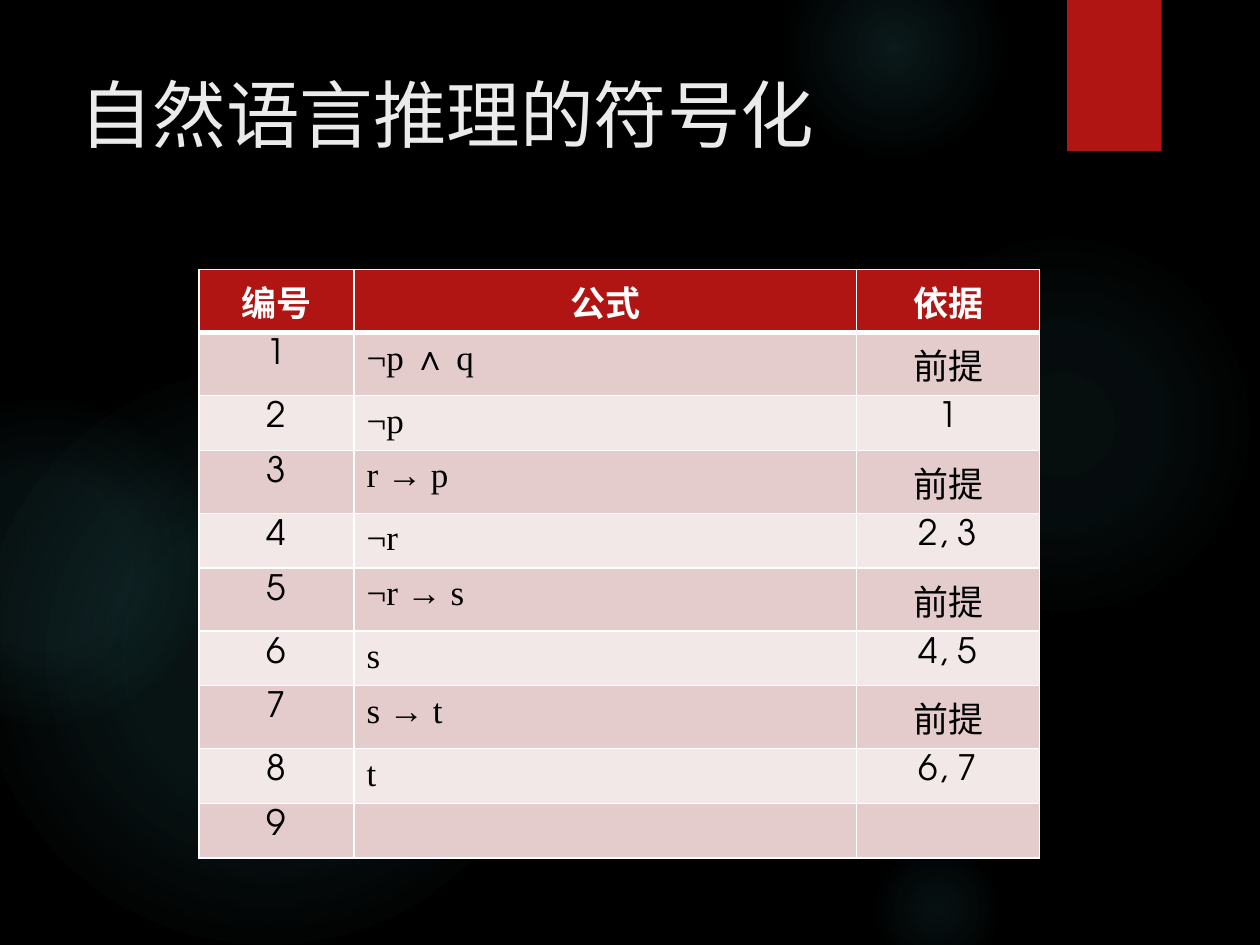
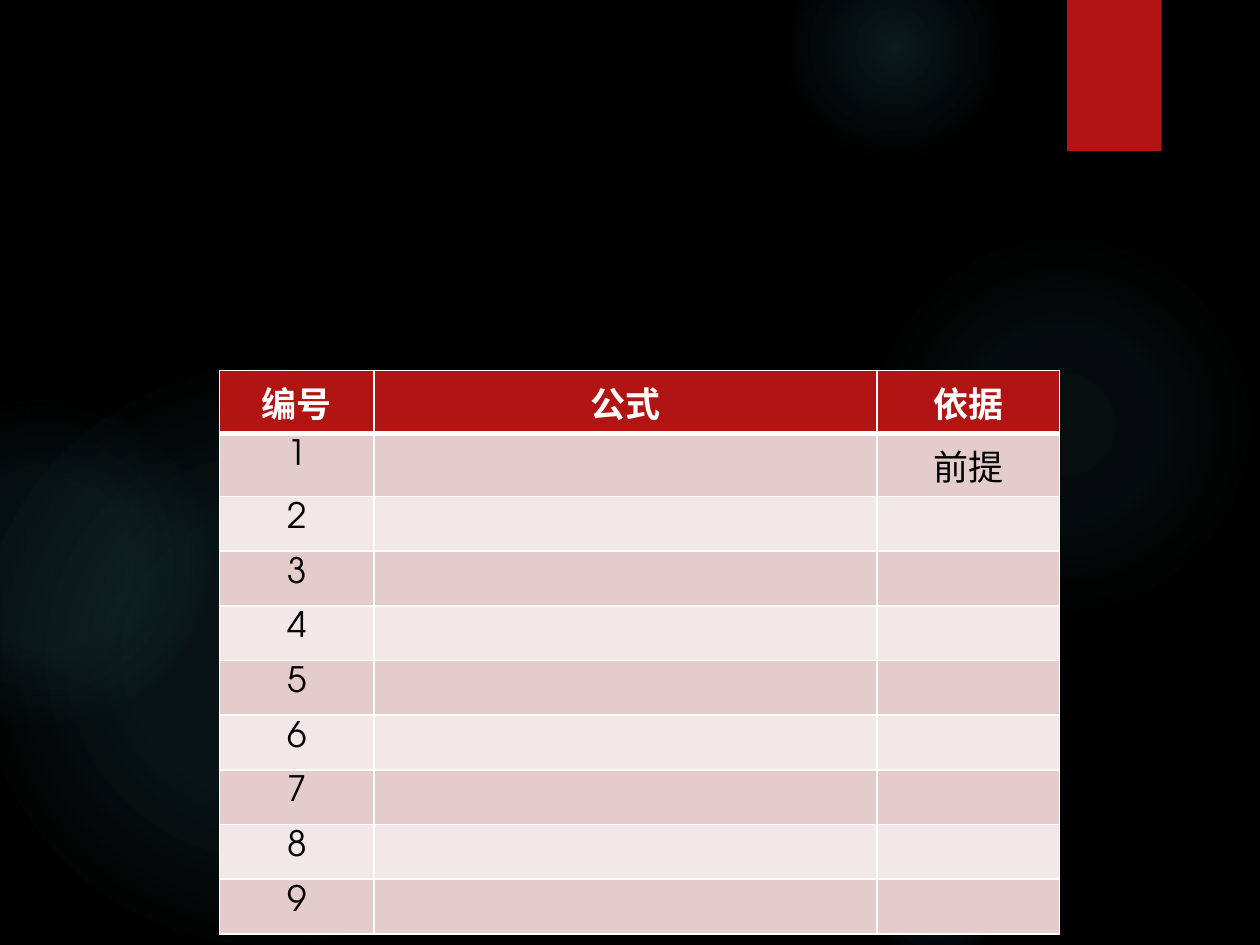
from dataclasses import dataclass

from lxml import etree
from pptx import Presentation
from pptx.dml import color
from pptx.enum import shapes, text
from pptx.oxml import ns
from pptx.util import Inches, Pt


@dataclass(frozen=True)
class Theme:
    background: str = "000000"
    accent: str = "B01513"
    glow: str = "50B9C1"
    title: str = "EBEBEB"
    border: str = "FFFFFF"
    header_text: str = "FFFFFF"
    body_text: str = "000000"
    bands: tuple = ("E4CCCC", "F2E8E7")
    font: str = "TeX Gyre Adventor"
    formula_font: str = "Times New Roman"
    title_size: int = 42
    table_size: int = 20
    thin: int = 1
    thick: int = 3


THEME = Theme()
GLOWS = [
    ((6.89, 1.83), 3.08, ((0, 7), (36, 6), (69, 0))),
    ((6.22, -0.5), 1.75, ((0, 14), (36, 7), (73, 0))),
    ((6.89, 6.67), 1.08, ((0, 9), (36, 5), (66, 0))),
    ((-0.17, 2.92), 4.58, ((0, 11), (36, 10), (75, 0))),
    ((-0.92, 3.17), 2.58, ((0, 8), (36, 8), (72, 0))),
]
RIBBON_BOX = (8.47, 0, 0.75, 1.2)
TITLE_BOX = (0.53, 0.5, 7.72, 1.53)
COLUMN_WIDTHS = (1.23, 3.99, 1.45)
ROW_HEIGHT = 0.41
TALL_ROW_HEIGHT = 0.5
HEADINGS = ("编号", "公式", "依据")
PREMISE = "前提"
STEP_COUNT = 9
PROOF = [
    ("¬p ∧ q", PREMISE),
    ("¬p", "1"),
    ("r → p", PREMISE),
    ("¬r", "2, 3"),
    ("¬r → s", PREMISE),
    ("s", "4, 5"),
    ("s → t", PREMISE),
    ("t", "6, 7"),
]
EXERCISE = [("", PREMISE)]


def rgb(value):
    return color.RGBColor.from_string(value)


def inches(box):
    return [Inches(length) for length in box]


def add_element(parent, tag, **attributes):
    element = etree.SubElement(parent, ns.qn(tag))
    for name, value in attributes.items():
        element.set(name, str(value))
    return element


def add_color(parent, value):
    return add_element(parent, "a:srgbClr", val=value)


def write_text(para, words, font_color, **formats):
    span = para.add_run()
    span.text = words
    span.font.color.rgb = rgb(font_color)
    for name, value in formats.items():
        setattr(span.font, name, value)


def add_plain_shape(page, kind, box):
    shape = page.shapes.add_shape(kind, *inches(box))
    shape.shadow.inherit = False
    shape.line.fill.background()
    return shape


def add_glow(page, corner, diameter, stops):
    glow = add_plain_shape(page, shapes.MSO_SHAPE.OVAL, (*corner, diameter, diameter))
    glow.fill.background()
    properties = glow._element.spPr
    gradient = etree.Element(ns.qn("a:gradFill"), rotWithShape="1")
    stop_list = add_element(gradient, "a:gsLst")
    for position, opacity in stops:
        stop = add_element(stop_list, "a:gs", pos=position * 1000)
        add_element(add_color(stop, THEME.glow), "a:alpha", val=opacity * 1000)
    center = add_element(gradient, "a:path", path="circle")
    add_element(center, "a:fillToRect", l=50000, t=50000, r=50000, b=50000)
    properties.replace(properties.find(ns.qn("a:noFill")), gradient)


def add_backdrop(page):
    for corner, diameter, stops in GLOWS:
        add_glow(page, corner, diameter, stops)
    ribbon = add_plain_shape(page, shapes.MSO_SHAPE.RECTANGLE, RIBBON_BOX)
    ribbon.fill.solid()
    ribbon.fill.fore_color.rgb = rgb(THEME.accent)


def add_title(page, box, words):
    frame = page.shapes.add_textbox(*inches(box)).text_frame
    frame.word_wrap = True
    frame.vertical_anchor = text.MSO_ANCHOR.TOP
    para = frame.paragraphs[0]
    write_text(para, words, THEME.title, name=THEME.font, size=Pt(THEME.title_size))


def set_borders(cell, row):
    widths = {
        "L": THEME.thin,
        "R": THEME.thin,
        "T": THEME.thick if row == 1 else THEME.thin,
        "B": THEME.thick if row == 0 else THEME.thin,
    }
    properties = cell._tc.get_or_add_tcPr()
    for side, width in widths.items():
        line = add_element(properties, f"a:ln{side}", w=Pt(width))
        add_color(add_element(line, "a:solidFill"), THEME.border)


def fill_cell(cell, row, column, words):
    is_header = row == 0
    is_formula = column == 1 and not is_header
    set_borders(cell, row)
    cell.fill.solid()
    band = THEME.accent if is_header else THEME.bands[(row - 1) % 2]
    cell.fill.fore_color.rgb = rgb(band)
    if not words:
        return
    para = cell.text_frame.paragraphs[0]
    para.alignment = text.PP_ALIGN.LEFT if is_formula else text.PP_ALIGN.CENTER
    write_text(
        para,
        words,
        THEME.header_text if is_header else THEME.body_text,
        name=THEME.formula_font if is_formula else THEME.font,
        size=Pt(THEME.table_size),
        bold=is_header,
    )


def row_height(values):
    return TALL_ROW_HEIGHT if values[-1] in (HEADINGS[-1], PREMISE) else ROW_HEIGHT


def add_proof_table(page, corner, steps):
    blanks = [("", "")] * (STEP_COUNT - len(steps))
    numbered = enumerate([*steps, *blanks], start=1)
    rows = [HEADINGS, *((str(number), *step) for number, step in numbered)]
    box = (*corner, sum(COLUMN_WIDTHS), sum(map(row_height, rows)))
    table = page.shapes.add_table(len(rows), len(HEADINGS), *inches(box)).table
    table.horz_banding = False
    for column, width in zip(table.columns, COLUMN_WIDTHS):
        column.width = Inches(width)
    for row, values in enumerate(rows):
        table.rows[row].height = Inches(row_height(values))
        for column, words in enumerate(values):
            fill_cell(table.cell(row, column), row, column, words)


def add_proof_page(deck, corner, steps, title=None):
    page = deck.slides.add_slide(deck.slide_layouts[6])
    add_backdrop(page)
    if title:
        add_title(page, TITLE_BOX, title)
    add_proof_table(page, corner, steps)


def main():
    deck = Presentation()
    deck.slide_width, deck.slide_height = inches((10, 7.5))
    backdrop = deck.slide_master.background.fill
    backdrop.solid()
    backdrop.fore_color.rgb = rgb(THEME.background)
    add_proof_page(deck, (1.58, 2.14), PROOF, "自然语言推理的符号化")
    add_proof_page(deck, (1.74, 2.94), EXERCISE)
    deck.save("out.pptx")


if __name__ == "__main__":
    main()
